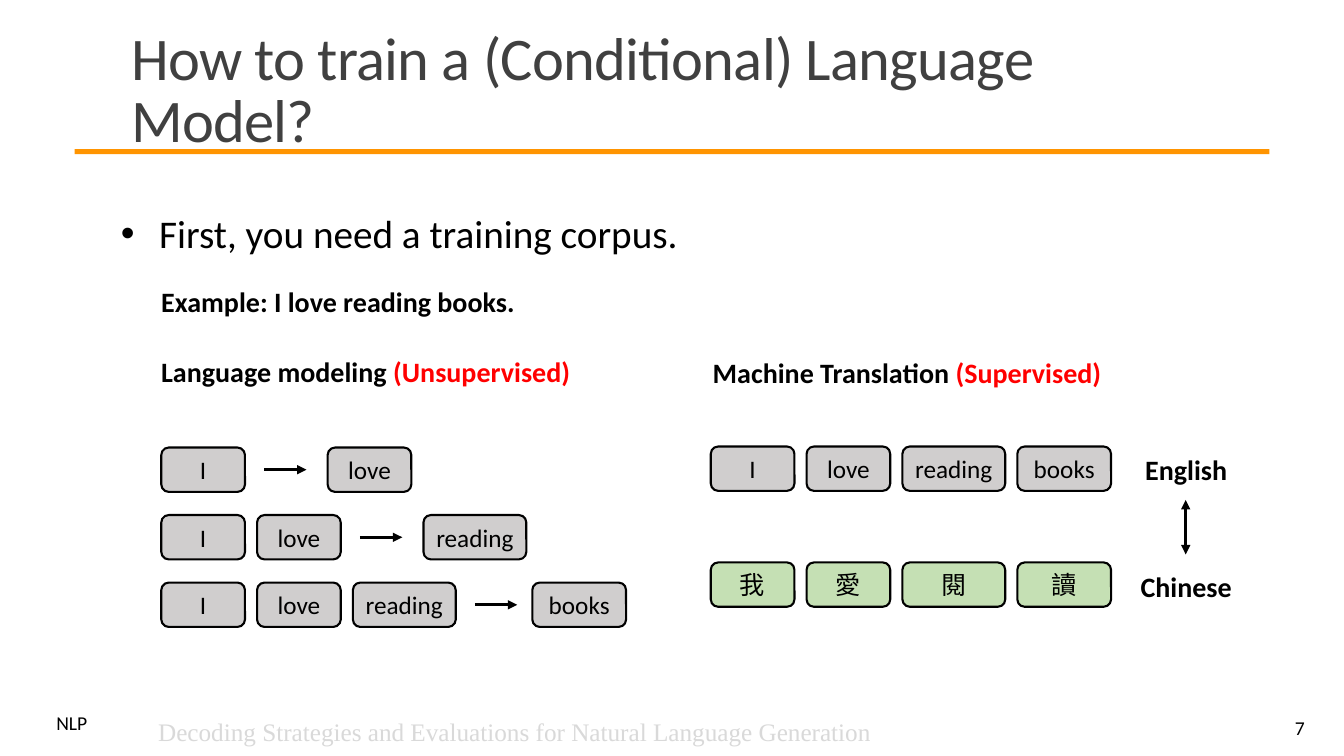
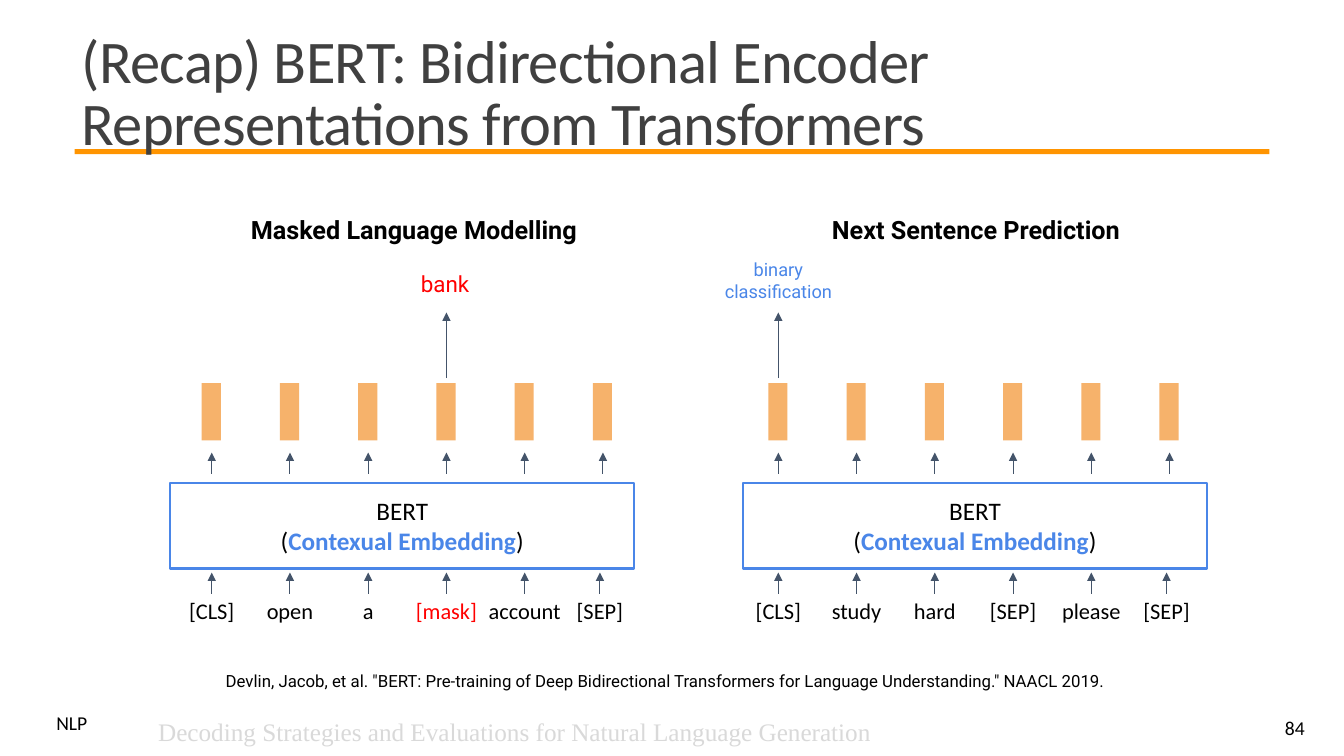
from lxml import etree
from pptx import Presentation
from pptx.dml.color import RGBColor
from pptx.enum import shapes, text
from pptx.oxml.ns import qn
from pptx.util import Inches, Pt

COLORS = {
    "black": "000000", "title": "404040", "band": "FF9400", "footer": "D9D9D9",
    "red": "FF0000", "source": "D0CECE", "target": "C5E0B4",
    "blue": "4A86E8", "vector": "F6B26B", "arrow": "44546A",
}
BODY_FONT, LABEL_FONT, CHINESE_FONT = "Calibri", "Roboto", "Noto Sans CJK TC"
LEFT, CENTER, RIGHT = text.PP_ALIGN.LEFT, text.PP_ALIGN.CENTER, text.PP_ALIGN.RIGHT
TOP, MIDDLE = text.MSO_ANCHOR.TOP, text.MSO_ANCHOR.MIDDLE

CHIP_HEIGHT, CHIP_GAP = 0.44, 0.12
SENTENCE = [("I", 0.83), ("love", 0.83), ("reading", 1.02), ("books", 0.93)]
CHINESE_WORDS = ["我", "愛", "閱", "讀"]


def rgb(name):
    return RGBColor.from_string(COLORS[name])


def format_span(span, size, color="black", bold=False, name=BODY_FONT):
    font = span.font
    font.size, font.bold, font.name = Pt(size), bold, name
    font.color.rgb = rgb(color)
    if name == CHINESE_FONT:
        etree.SubElement(span._r.get_or_add_rPr(), qn("a:ea"), typeface=name)


def write(frame, paras, size, align=LEFT, anchor=TOP, inset=None, **style):
    """Each paragraph is a string or a list of (text, style changes)."""
    frame.word_wrap = True
    frame.auto_size = text.MSO_AUTO_SIZE.NONE
    frame.vertical_anchor = anchor
    if inset is not None:
        frame.margin_left = frame.margin_right = Inches(inset)
        frame.margin_top = frame.margin_bottom = Inches(inset)
    for index, content in enumerate(paras):
        para = frame.add_paragraph() if index else frame.paragraphs[0]
        para.alignment = align
        spans = [(content, {})] if isinstance(content, str) else content
        for words, changes in spans:
            span = para.add_run()
            span.text = words
            format_span(span, size, **{**style, **changes})


def add_text(page, at, paras, size, **style):
    box = page.shapes.add_textbox(*map(Inches, at))
    write(box.text_frame, paras, size, **style)
    return box.text_frame.paragraphs[0]


def add_block(page, at, fill=None, line=None, kind=shapes.MSO_SHAPE.RECTANGLE):
    block = page.shapes.add_shape(kind, *map(Inches, at))
    block.shadow.inherit = False
    if fill:
        block.fill.solid()
        block.fill.fore_color.rgb = rgb(fill)
    else:
        block.fill.background()
    if line:
        block.line.color.rgb = rgb(line)
        block.line.width = Pt(1.5)
    else:
        block.line.fill.background()
    return block


def add_arrow(page, start, end, color="black", width=2.25, both=False):
    arrow = page.shapes.add_connector(
        shapes.MSO_CONNECTOR.STRAIGHT, *map(Inches, (*start, *end)))
    arrow.line.color.rgb = rgb(color)
    arrow.line.width = Pt(width)
    line = arrow.line._get_or_add_ln()
    for tag in ["a:headEnd"] * both + ["a:tailEnd"]:
        etree.SubElement(line, qn(tag), type="triangle")
    etree.SubElement(arrow._element.spPr, qn("a:effectLst"))


def add_page(deck, title, title_at, number):
    """Title, band and footers that every page carries."""
    page = deck.slides.add_slide(deck.slide_layouts[5])
    add_block(page, (0.74, 1.48, 11.85, 0.05), "band")
    heading = page.shapes.title
    heading.left, heading.top, heading.width, heading.height = map(Inches, title_at)
    write(heading.text_frame, [title], 43.2, anchor=MIDDLE, color="title")
    para = heading.text_frame.paragraphs[0]
    para.line_spacing = 0.85
    para.runs[0]._r.get_or_add_rPr().set("spc", "-50")
    # Raise the title above the band
    page.shapes._spTree.append(heading._element)
    add_text(page, (0.46, 7.05, 0.61, 0.29), ["NLP"], 14).line_spacing = 0.8
    add_text(page, (11.61, 7.02, 1.43, 0.4), [number], 14, align=RIGHT, anchor=MIDDLE)
    add_text(page, (1.47, 7.06, 7.52, 0.4),
             ["Decoding Strategies and Evaluations for Natural Language Generation"],
             18, color="footer", name="Times New Roman")
    return page


def add_chip(page, left, top, width, word, fill="source", name=BODY_FONT):
    chip = add_block(page, (left, top, width, CHIP_HEIGHT), fill, "black",
                     shapes.MSO_SHAPE.ROUNDED_RECTANGLE)
    write(chip.text_frame, [word], 18, align=CENTER, anchor=MIDDLE, name=name)


def add_chips(page, left, top, words, **style):
    """Row of word chips; returns its right edge."""
    for word, width in words:
        add_chip(page, left, top, width, word, **style)
        left += width + CHIP_GAP
    return left - CHIP_GAP


def build_training(deck):
    page = add_page(deck, "How to train a (Conditional) Language Model?",
                    (1.2, 0.36, 11, 1.13), "7")
    bullet = add_text(page, (1.1, 2.03, 6.13, 0.57),
                      ["First, you need a training corpus."], 28)
    props = bullet._p.get_or_add_pPr()
    props.set("marL", str(Inches(0.38)))
    props.set("indent", str(-Inches(0.38)))
    etree.SubElement(props, qn("a:buFont"), typeface="Arial")
    etree.SubElement(props, qn("a:buChar"), char="•")
    add_text(page, (1.5, 2.77, 3.79, 0.44), ["Example: I love reading books."], 20, bold=True)
    for left, top, task, kind in [
            (1.5, 3.47, "Language modeling ", "(Unsupervised)"),
            (6.97, 3.48, "Machine Translation ", "(Supervised)")]:
        add_text(page, (left, top, 4.42, 0.44),
                 [[(task, {}), (kind, {"color": "red"})]], 20, bold=True)

    # Next-word prediction: known words, arrow, predicted word
    for known, target_gap in enumerate([0.82, 0.82, 0.76], start=1):
        top = 4.44 + (known - 1) * 0.67
        edge = add_chips(page, 1.6, top, SENTENCE[:known])
        middle = top + CHIP_HEIGHT / 2
        add_arrow(page, (edge + 0.19, middle), (edge + 0.61, middle))
        add_chips(page, edge + target_gap, top, SENTENCE[known:known + 1])

    # Sentence pair
    add_chips(page, 7.05, 4.43, SENTENCE)
    chinese = [(word, width) for word, (_, width) in zip(CHINESE_WORDS, SENTENCE)]
    add_chips(page, 7.05, 5.58, chinese, fill="target", name=CHINESE_FONT)
    for language, top in [("English", 4.44), ("Chinese", 5.6)]:
        add_text(page, (11.14, top, 1.25, 0.44), [language], 20, align=CENTER, bold=True)
    add_arrow(page, (11.76, 4.96), (11.76, 5.5), both=True)


def add_encoder(page, box_left, first, tokens, output):
    """Tokens through the encoder to vectors; output is the read-out column."""
    box = add_block(page, (box_left, 4.79, 4.6, 0.85), line="blue")
    write(box.text_frame,
          ["BERT", [("(", {}), ("Contexual Embedding", {"color": "blue", "bold": True}),
                    (")", {})]],
          18, align=CENTER, anchor=MIDDLE, inset=0.1)
    pitch = 3.88 / 5
    thin = {"color": "arrow", "width": 0.75}
    for index, token in enumerate(tokens):
        x = first + index * pitch
        token_x = x - 0.03 if index == len(tokens) - 1 else x
        add_block(page, (x - 0.1, 3.8, 0.19, 0.57), "vector")
        add_arrow(page, (x, 4.7), (x, 4.49), **thin)
        add_arrow(page, (token_x, 5.89), (token_x, 5.68), **thin)
        add_text(page, (token_x - 0.48, 5.87, 0.96, 0.37), [token], 16, align=CENTER,
                 color="red" if token == "[mask]" else "black")
    x = first + output * pitch
    add_arrow(page, (x, 3.75), (x, 3.1), **thin)


def build_bert(deck):
    page = add_page(
        deck, "(Recap) BERT: Bidirectional Encoder Representations from Transformers",
        (0.71, 0.39, 11.94, 1.13), "84")
    add_encoder(page, 1.69, 2.1, ["[CLS]", "open", "a", "[mask]", "account", "[SEP]"], 3)
    add_encoder(page, 7.37, 7.72, ["[CLS]", "study", "hard", "[SEP]", "please", "[SEP]"], 0)

    # Task names and outputs
    label = {"name": LABEL_FONT, "inset": 0.1}
    for at, words, size, color, bold in [
            ((2.38, 2.03, 3.45, 0.5), "Masked Language Modelling", 18, "black", True),
            ((8.05, 2.03, 3.26, 0.5), "Next Sentence Prediction", 18, "black", True),
            ((4, 2.58, 0.83, 0.47), "bank", 16, "red", False),
            ((7.07, 2.46, 1.3, 0.64), "binary classification", 13, "blue", False)]:
        add_text(page, at, [words], size, align=CENTER, color=color, bold=bold, **label)
    add_text(page, (2.14, 6.55, 9.05, 0.4),
             ['Devlin, Jacob, et al. "BERT: Pre-training of Deep Bidirectional Transformers '
              'for Language Understanding." NAACL 2019.'], 12, **label)


def main():
    deck = Presentation()
    deck.slide_width, deck.slide_height = Inches(13.33), Inches(7.5)
    build_training(deck)
    build_bert(deck)
    deck.save("out.pptx")


if __name__ == "__main__":
    main()
